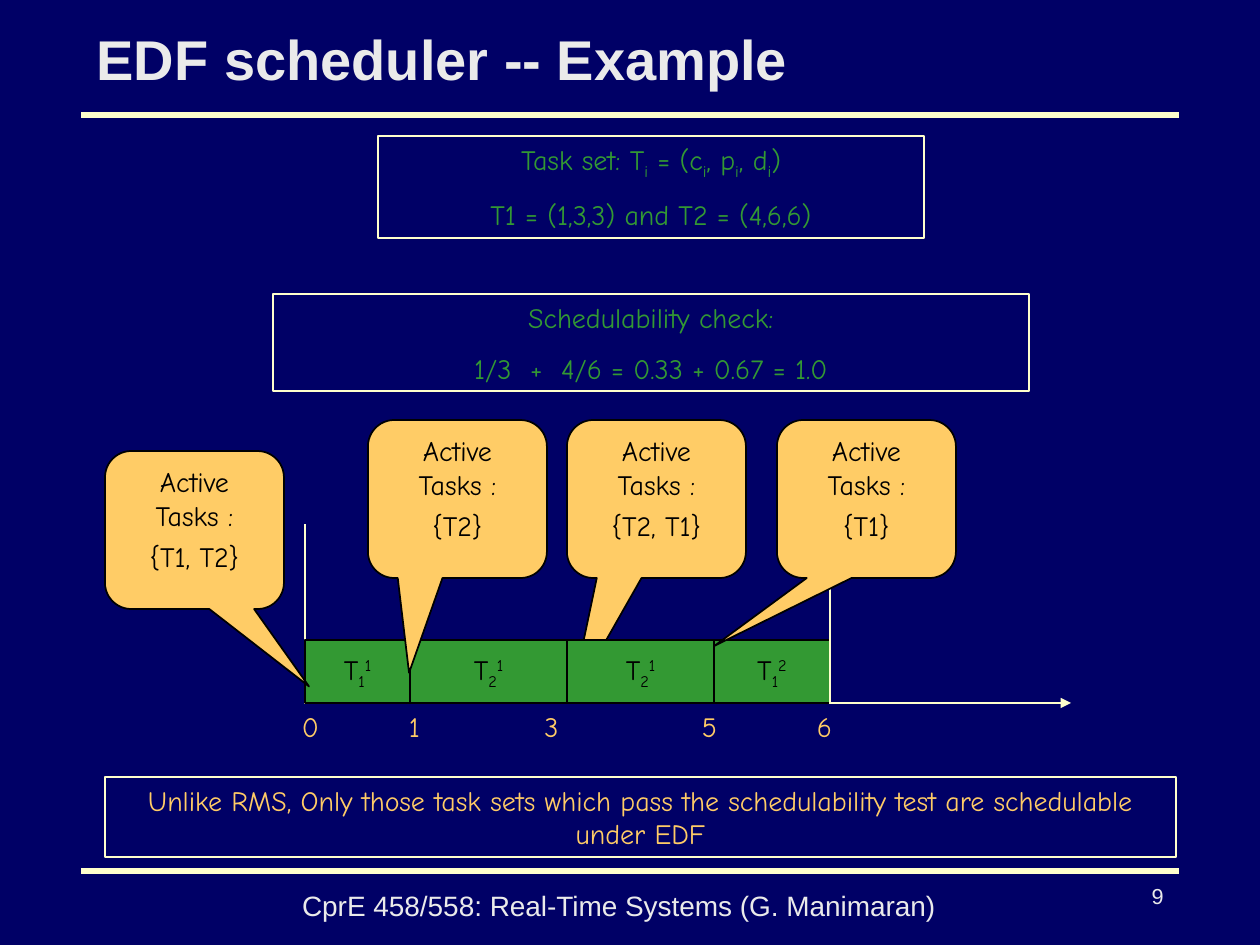
from typing import NamedTuple

from pptx import Presentation
from pptx.dml.color import RGBColor
from pptx.enum.shapes import MSO_CONNECTOR, MSO_SHAPE
from pptx.enum.text import MSO_ANCHOR, MSO_AUTO_SIZE, PP_ALIGN
from pptx.oxml.ns import qn
from pptx.util import Pt
from lxml import etree

LINE = MSO_CONNECTOR.STRAIGHT
RECT = MSO_SHAPE.RECTANGLE
CALLOUT = MSO_SHAPE.ROUNDED_RECTANGULAR_CALLOUT
TOP, MIDDLE = MSO_ANCHOR.TOP, MSO_ANCHOR.MIDDLE
LEFT, CENTER, RIGHT = PP_ALIGN.LEFT, PP_ALIGN.CENTER, PP_ALIGN.RIGHT

NAVY = RGBColor(0x00, 0x00, 0x66)
CREAM = RGBColor(0xFF, 0xFF, 0xCC)
SILVER = RGBColor(0xEA, 0xEA, 0xEA)
GREEN = RGBColor(0x33, 0x99, 0x33)
AMBER = RGBColor(0xFF, 0xCC, 0x66)
BLACK = RGBColor(0x00, 0x00, 0x00)

EMU_PER_PX = 914400 / 126
SUB, SUPER = -25000, 30000


class Box(NamedTuple):
    x: int
    y: int
    w: int
    h: int


class Run(NamedTuple):
    text: str
    baseline: int = 0


class Style(NamedTuple):
    color: RGBColor
    font: str = "Comic Neue"
    size: float = 16
    bold: bool = False
    align: PP_ALIGN = CENTER
    space: int = 10


class Frame(NamedTuple):
    box: Box
    lines: list
    color: RGBColor


class Job(NamedTuple):
    task: str
    instance: str
    start: int
    end: int


class Note(NamedTuple):
    x: int
    y: int
    tasks: str
    tip: tuple


def px(n: float) -> int:
    return round(n * EMU_PER_PX)


def place(box: Box) -> list:
    return [px(n) for n in box]


def write(tf, lines: list, style: Style, anchor=TOP, wrap: bool = True) -> None:
    """Fill a text frame; each line is a list of runs."""
    tf.word_wrap = wrap
    tf.vertical_anchor = anchor
    for i, runs in enumerate(lines):
        p = tf.add_paragraph() if i else tf.paragraphs[0]
        p.alignment = style.align
        p.space_before = Pt(style.space if i else 0)
        for run in runs:
            r = p.add_run()
            r.text = run.text
            r.font.name = style.font
            r.font.size = Pt(style.size)
            r.font.bold = style.bold
            r.font.color.rgb = style.color
            if run.baseline:
                r.font._element.set("baseline", str(run.baseline))


def add_text(s, box: Box, text: str, style: Style):
    tf = s.shapes.add_textbox(*place(box)).text_frame
    write(tf, [[Run(text)]], style)
    return tf


def add_box(s, kind, box: Box, line: RGBColor, fill: RGBColor | None = None):
    sp = s.shapes.add_shape(kind, *place(box))
    sp.shadow.inherit = False
    if fill is None:
        sp.fill.background()
    else:
        sp.fill.solid()
        sp.fill.fore_color.rgb = fill
    sp.line.color.rgb = line
    sp.line.width = Pt(1)
    return sp


def add_line(s, x1: int, y1: int, x2: int, y2: int, width: int = 1,
             arrow: bool = False) -> None:
    c = s.shapes.add_connector(LINE, px(x1), px(y1), px(x2), px(y2))
    c.line.color.rgb = CREAM
    c.line.width = Pt(width)
    ln = c.line._get_or_add_ln()
    ln.set("cap", "sq")
    if arrow:
        etree.SubElement(ln, qn("a:tailEnd")).set("type", "triangle")
    etree.SubElement(c._element.spPr, qn("a:effectLst"))


def add_job(s, job: Job) -> None:
    x = TICKS[job.start]
    box = Box(x, AXIS_Y - JOB_H, TICKS[job.end] - x, JOB_H)
    sp = add_box(s, RECT, box, BLACK, GREEN)
    runs = [Run("T"), Run(job.task, SUB), Run(job.instance, SUPER)]
    write(sp.text_frame, [runs], Style(BLACK), MIDDLE, wrap=False)


def add_note(s, note: Note) -> None:
    sp = add_box(s, CALLOUT, Box(note.x, note.y, 179, 158), BLACK, AMBER)
    sp.adjustments[0], sp.adjustments[1] = note.tip
    lines = [[Run("Active Tasks :")], [Run(note.tasks)]]
    write(sp.text_frame, lines, Style(BLACK, space=4))


# Time axis: position of each marked time
TICKS = {0: 305, 1: 410, 3: 567, 5: 714, 6: 830}
LABEL_X = {0: 284, 1: 388, 3: 525, 5: 683, 6: 798}
AXIS_Y, JOB_H = 703, 63

JOBS = [
    Job("1", "1", 0, 1),
    Job("2", "1", 1, 3),
    Job("1", "2", 5, 6),
]
LAST_JOB = Job("2", "1", 3, 5)
NOTES = [
    Note(105, 451, "{T1, T2}", (0.64, 0.99)),
    Note(368, 420, "{T2}", (-0.27, 1.1)),
    Note(567, 420, "{T2, T1}", (-0.48, 1.29)),
    Note(777, 420, "{T1}", (-0.85, 0.93)),
]
FRAMES = [
    Frame(Box(378, 136, 546, 102), [
        [Run("Task set: T"), Run("i", SUB), Run(" = (c"), Run("i", SUB),
         Run(", p"), Run("i", SUB), Run(", d"), Run("i", SUB), Run(")")],
        [Run("T1 = (1,3,3) and T2 = (4,6,6)")]], GREEN),
    Frame(Box(273, 294, 756, 97), [
        [Run("Schedulability check:")],
        [Run("1/3  +  4/6 = 0.33 + 0.67 = 1.0")]], GREEN),
    Frame(Box(105, 777, 1071, 80), [
        [Run("Unlike RMS, Only those task sets which pass the "
             "schedulability test are schedulable under EDF")]], AMBER),
]


def main() -> None:
    prs = Presentation()
    prs.slide_width, prs.slide_height = px(1260), px(945)
    s = prs.slides.add_slide(prs.slide_layouts[5])
    s.background.fill.solid()
    s.background.fill.fore_color.rgb = NAVY

    # Rules, footer and title
    for y in (115, 871):
        add_line(s, 84, y, 1176, y, width=3)
    add_text(s, Box(199, 882, 840, 42),
             "CprE 458/558: Real-Time Systems (G. Manimaran)",
             Style(SILVER, "Arial"))
    tf = add_text(s, Box(1040, 882, 136, 42), "9",
                  Style(SILVER, "Arial", 12.4, align=RIGHT))
    tf.paragraphs[0].line_spacing = 0.8
    title = s.shapes.title
    title.left, title.top, title.width, title.height = place(Box(84, 21, 1092, 74))
    title.text_frame.auto_size = MSO_AUTO_SIZE.NONE
    write(title.text_frame, [[Run("EDF scheduler -- Example")]],
          Style(SILVER, "Arial", 32, True, LEFT), MIDDLE)

    # Outlined statements
    for frame in FRAMES:
        sp = add_box(s, RECT, frame.box, CREAM)
        write(sp.text_frame, frame.lines, Style(frame.color))

    # Schedule along the time axis
    add_line(s, TICKS[0], AXIS_Y, 1071, AXIS_Y, arrow=True)
    add_line(s, TICKS[0], AXIS_Y, TICKS[0], 525)
    for job in JOBS:
        add_job(s, job)
    add_line(s, TICKS[6], AXIS_Y, TICKS[6], 515)
    for time, x in LABEL_X.items():
        add_text(s, Box(x, AXIS_Y, 53, 46), str(time), Style(AMBER))

    # Active tasks; the last job covers the tip of a callout
    for note in NOTES:
        add_note(s, note)
    add_job(s, LAST_JOB)

    prs.save("out.pptx")


if __name__ == "__main__":
    main()
